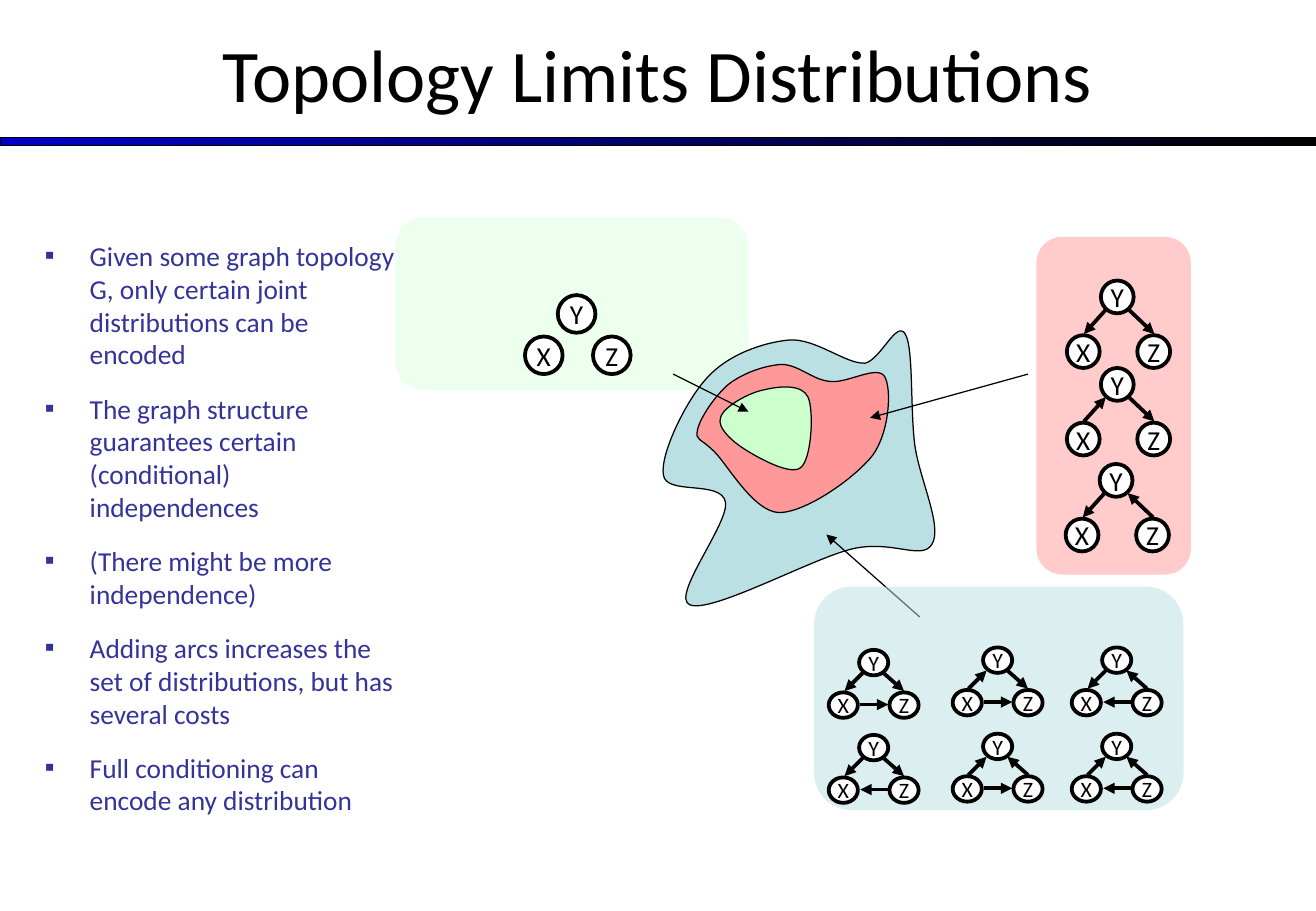
from lxml.etree import SubElement
from pptx import Presentation
from pptx.dml.color import RGBColor
from pptx.enum.shapes import MSO_CONNECTOR, MSO_SHAPE
from pptx.enum.text import MSO_ANCHOR, PP_ALIGN
from pptx.oxml.ns import qn
from pptx.util import Inches, Pt

HEX = {"black": "000000", "white": "FFFFFF", "navy": "333399", "blue": "0000CC",
       "green": "CCFFCC", "red": "FF9999", "teal": "BBE0E3"}
RGB = {name: RGBColor.from_string(code) for name, code in HEX.items()}

deck = Presentation()
deck.slide_width, deck.slide_height = Inches(10.83), Inches(7.5)
slide = deck.slides.add_slide(deck.slide_layouts[6])
shapes = slide.shapes


def write(text, box, kind=None, fill=None, alpha=None, line=None, size=16.2,
          color="black", align=PP_ALIGN.CENTER, anchor=MSO_ANCHOR.MIDDLE,
          pad=(0.1, 0.05), wrap=True, bullet=None, gap=0):
    """Add a text box, or a shape of the given kind, with one paragraph per line of text."""
    place = [Inches(n) for n in box]
    if kind is None:
        shape = shapes.add_textbox(*place)
    else:
        shape = shapes.add_shape(kind, *place)
        shape.shadow.inherit = False
    if fill:
        shape.fill.solid()
        shape.fill.fore_color.rgb = RGB[fill]
    if alpha:
        tint = shape.fill._xPr.find(".//" + qn("a:srgbClr"))
        SubElement(tint, qn("a:alpha"), val=str(alpha * 1000))
    if line:
        shape.line.color.rgb = RGB["black"]
        shape.line.width = Pt(line)
    else:
        shape.line.fill.background()
    frame = shape.text_frame
    frame.word_wrap, frame.vertical_anchor = wrap, anchor
    frame.margin_left = frame.margin_right = Inches(pad[0])
    frame.margin_top = frame.margin_bottom = Inches(pad[1])
    for i, words in enumerate(text.split("\n") if text else []):
        para = frame.add_paragraph() if i else frame.paragraphs[0]
        para.alignment = align
        if bullet:
            props = para._p.get_or_add_pPr()
            props.set("marL", str(Inches(0.37)))
            props.set("indent", str(-Inches(0.37)))
            tone = SubElement(props, qn("a:buClr"))
            SubElement(tone, qn("a:srgbClr"), val=HEX[color])
            SubElement(props, qn("a:buFont"), typeface="Calibri")
            SubElement(props, qn("a:buChar"), char=bullet)
        if i:
            para.space_before = Pt(gap)
        run = para.add_run()
        run.text = words
        run.font.name, run.font.size = "Calibri", Pt(size)
        run.font.color.rgb = RGB[color]
    return shape


def join(start, end, width, tip="a:tailEnd"):
    """Draw a line with an arrowhead at its end, or at its start if tip is a:headEnd."""
    arrow = shapes.add_connector(MSO_CONNECTOR.STRAIGHT, *[Inches(n) for n in (*start, *end)])
    arrow.line.color.rgb = RGB["black"]
    arrow.line.width = Pt(width)
    SubElement(arrow.line._get_or_add_ln(), qn(tip), type="triangle")
    SubElement(arrow._element.spPr, qn("a:effectLst"))


# Title, rule and bullets
bar = write("", (0, 1.13, 10.83, 0.07), MSO_SHAPE.RECTANGLE, line=0.75)
bar.fill.gradient()
bar.fill.gradient_angle = 0
for stop, name in zip(bar.fill.gradient_stops, ("blue", "black")):
    stop.color.rgb = RGB[name]

write("", (3.25, 1.79, 2.91, 1.42), MSO_SHAPE.ROUNDED_RECTANGLE, fill="green", alpha=34)
write("Topology Limits Distributions", (0, -0.03, 10.83, 1.25), size=44)
points = [
    "Given some graph topology G, only certain joint distributions can be encoded",
    "The graph structure guarantees certain (conditional) independences",
    "(There might be more independence)",
    "Adding arcs increases the set of distributions, but has several costs",
    "Full conditioning can encode any distribution",
]
write("\n".join(points), (0.27, 1.92, 3.11, 4.6), color="navy", align=PP_ALIGN.LEFT,
      anchor=MSO_ANCHOR.TOP, bullet="▪", gap=12.6)

# Nested sets: a start point, then two control points and an end point per curve
blobs = {
    "teal": [(7.12, 2.99), (6.96, 3), (6.71, 2.78), (6.49, 2.8), (6.28, 2.82), (5.99, 2.92),
             (5.82, 3.11), (5.65, 3.29), (5.43, 3.74), (5.46, 3.91), (5.48, 4.08), (5.93, 3.95),
             (5.97, 4.13), (6.01, 4.3), (5.51, 4.92), (5.68, 4.98), (5.86, 5.05), (6.68, 4.6),
             (7.01, 4.52), (7.34, 4.44), (7.59, 4.62), (7.67, 4.48), (7.76, 4.34), (7.57, 3.95),
             (7.53, 3.67), (7.49, 3.38), (7.52, 2.86), (7.45, 2.75), (7.38, 2.63), (7.25, 2.96),
             (7.12, 2.99)],
    "red": [(5.88, 3.72), (5.99, 3.83), (6.2, 4.21), (6.41, 4.22), (6.63, 4.22), (7.03, 3.94),
            (7.18, 3.75), (7.32, 3.56), (7.34, 3.2), (7.28, 3.1), (7.22, 3), (6.97, 3.16),
            (6.83, 3.14), (6.69, 3.13), (6.57, 3), (6.43, 3), (6.29, 3.01), (6.12, 3.07),
            (6, 3.16), (5.89, 3.25), (5.76, 3.44), (5.74, 3.54), (5.72, 3.63), (5.76, 3.6),
            (5.88, 3.72)],
    "green": [(6.29, 3.21), (6.17, 3.23), (5.95, 3.35), (5.93, 3.44), (5.9, 3.52), (6.02, 3.63),
              (6.13, 3.7), (6.24, 3.77), (6.51, 3.92), (6.59, 3.85), (6.68, 3.78), (6.7, 3.38),
              (6.65, 3.27), (6.6, 3.16), (6.41, 3.18), (6.29, 3.21)],
}
for name, knots in blobs.items():
    first, *rest = [(Inches(x), Inches(y)) for x, y in knots]
    pen = shapes.build_freeform(*first)
    pen.add_line_segments(rest, close=True)
    blob = pen.convert_to_shape()
    blob.shadow.inherit = False
    blob.fill.solid()
    blob.fill.fore_color.rgb = RGB[name]
    blob.line.color.rgb = RGB["black"]
    blob.line.width = Pt(0.75)
    # Turn each run of three straight legs into one curve
    track = blob._element.find(".//" + qn("a:path"))
    for i, leg in enumerate(track.findall(qn("a:lnTo"))):
        if i % 3 == 0:
            curve = SubElement(track, qn("a:cubicBezTo"))
        curve.append(leg[0])
        track.remove(leg)
    track.append(track.find(qn("a:close")))

for start, end in [((5.54, 3.08), (6.16, 3.39)), ((7.57, 5.08), (6.8, 4.4)),
                   ((8.46, 3.08), (7.16, 3.44))]:
    join(start, end, 0.75)

for name, box in [("red", (8.53, 1.95, 1.27, 2.78)), ("teal", (6.7, 4.83, 3.04, 1.84))]:
    write("", box, MSO_SHAPE.ROUNDED_RECTANGLE, fill=name, alpha=50)

# Graph layouts: font size, node size, node offsets, then edges Y-X, Y-Z and X-Z
forms = {
    "bare": (16.2, (0.31, 0.31), {"X": (0, 0.34), "Y": (0.27, 0), "Z": (0.56, 0.34)}, []),
    "pair": (16.2, (0.27, 0.27), {"X": (0, 0.45), "Y": (0.28, 0), "Z": (0.58, 0.45)},
             [((0.32, 0.24), (0.14, 0.44)), ((0.51, 0.24), (0.72, 0.44))]),
    "full": (13, (0.24, 0.21), {"X": (0, 0.35), "Y": (0.25, 0), "Z": (0.5, 0.35)},
             [((0.28, 0.19), (0.13, 0.34)), ((0.45, 0.19), (0.62, 0.34)),
              ((0.26, 0.45), (0.49, 0.45))]),
}
# Each sign says whether an edge runs forward or back
tips = {">": "a:tailEnd", "<": "a:headEnd"}
graphs = [
    ("bare", 4.32, 2.43, ""),
    ("pair", 8.78, 2.31, ">>"), ("pair", 8.78, 3.03, "<>"), ("pair", 8.77, 3.82, "><"),
    ("full", 6.82, 5.35, ">>>"), ("full", 7.84, 5.33, "<>>"), ("full", 8.82, 5.33, "><<"),
    ("full", 6.82, 6.05, ">><"), ("full", 7.84, 6.04, "<<>"), ("full", 8.82, 6.04, "<<<"),
]
for form, left, top, signs in graphs:
    size, span, nodes, edges = forms[form]
    for label, (x, y) in nodes.items():
        write(label, (left + x, top + y, *span), MSO_SHAPE.OVAL, fill="white", line=2.25,
              size=size, pad=(0, 0), wrap=False)
    for sign, edge in zip(signs, edges):
        start, end = [(left + x, top + y) for x, y in edge]
        join(start, end, 2.25, tips[sign])

deck.save("out.pptx")
